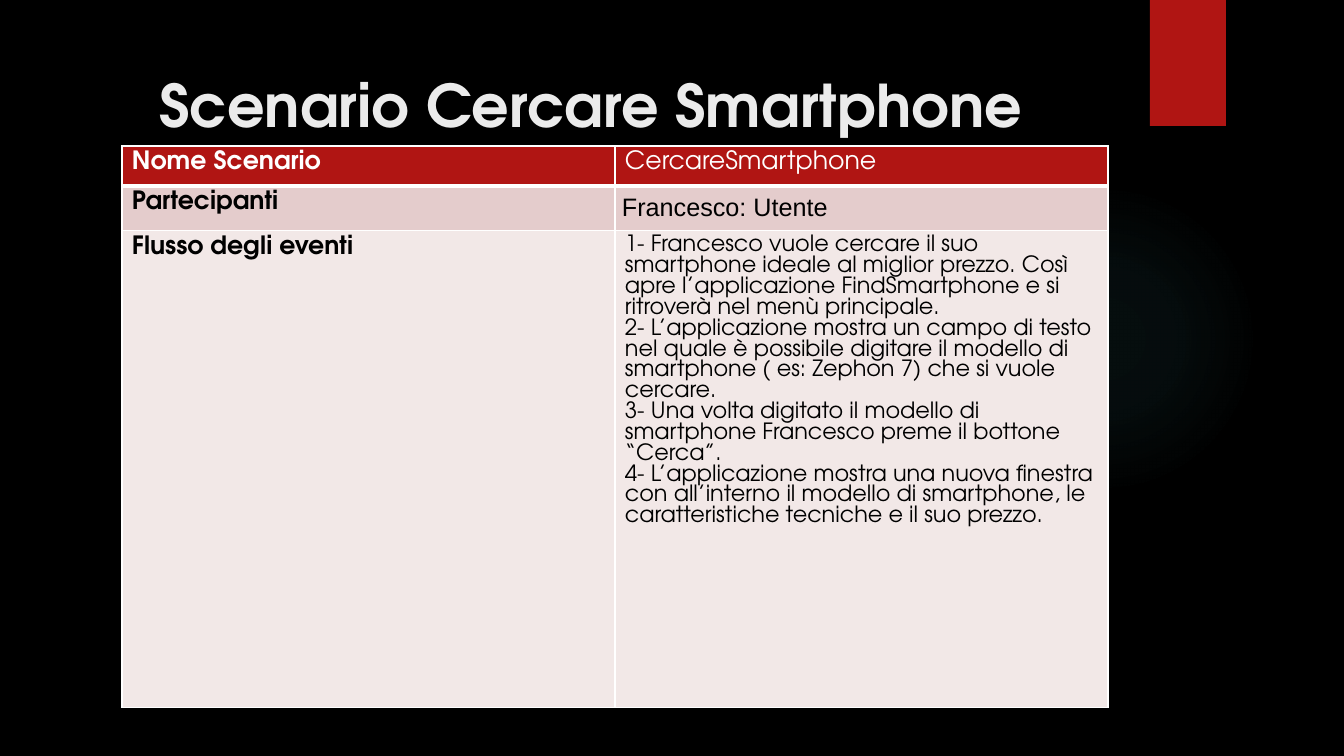
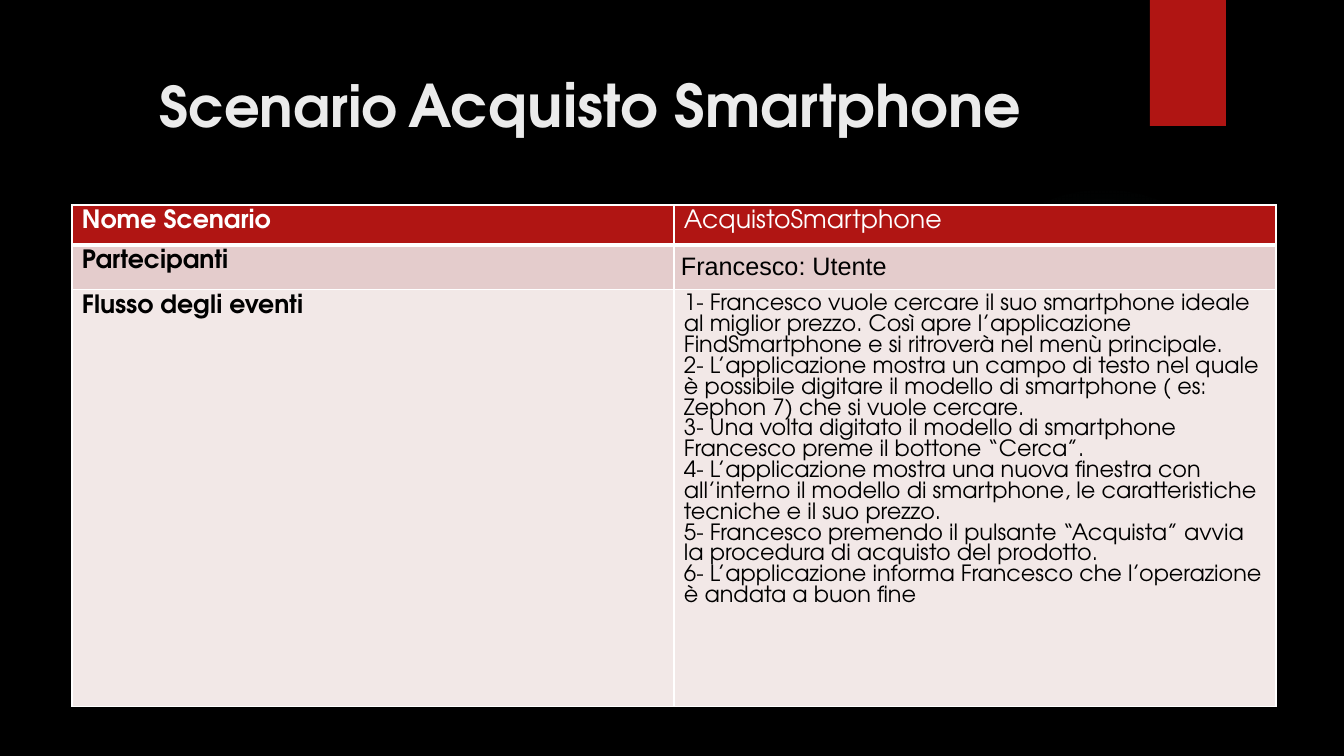
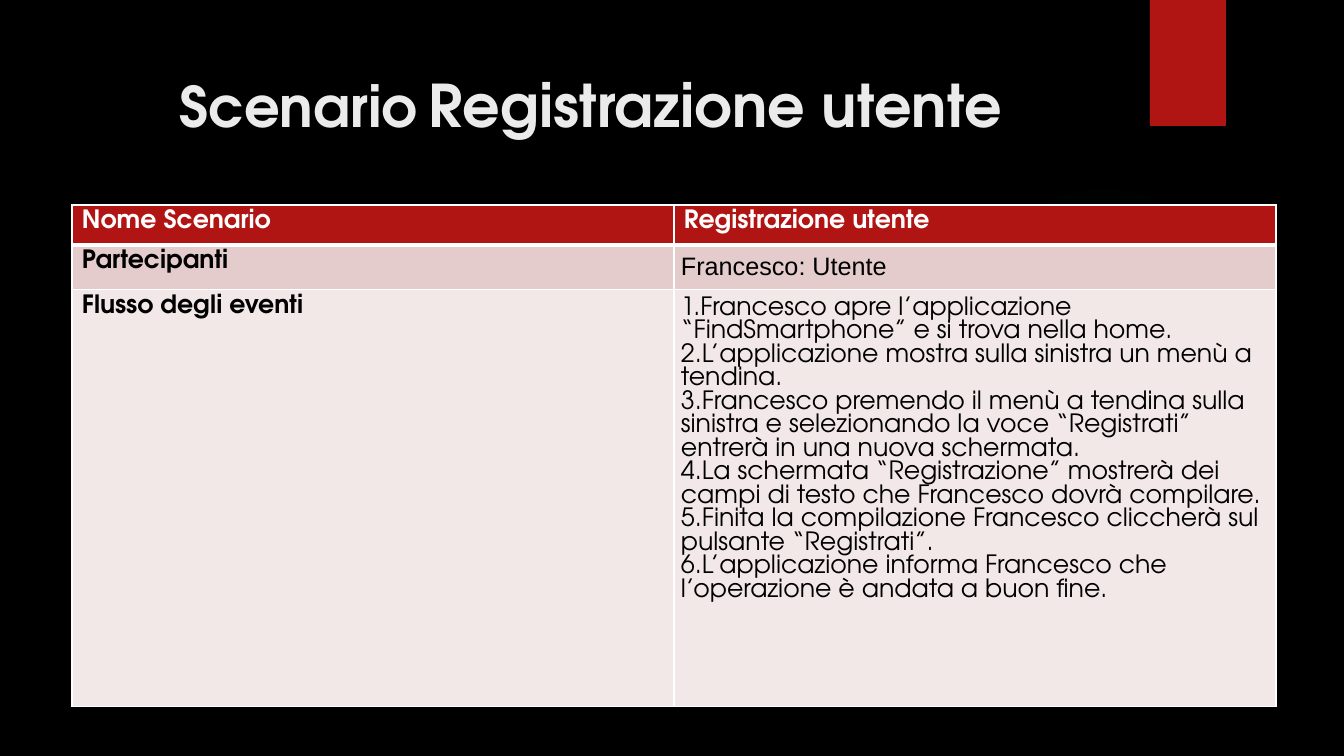
from dataclasses import dataclass

from pptx import Presentation
from pptx.dml.color import RGBColor
from pptx.enum.shapes import MSO_SHAPE
from pptx.enum.text import PP_ALIGN
from pptx.oxml import parse_xml
from pptx.oxml.ns import nsdecls
from pptx.util import Pt


@dataclass(frozen=True)
class Theme:
    backdrop: str = "000000"
    red: str = "B01513"
    glow: str = "50B9C1"
    title: str = "EBEBEB"
    white: str = "FFFFFF"
    black: str = "000000"
    band: str = "E4CCCC"
    pale: str = "F2E8E7"
    face: str = "TeX Gyre Adventor"
    plain_face: str = "Arial"
    title_size: int = 42
    title_small: int = 40
    title_gap: int = 28
    label_size: int = 18
    steps_size: int = 16


THEME = Theme()

# Content
SEARCH_STEPS = [
    "1- Francesco vuole cercare il suo smartphone ideale al miglior prezzo. Così apre "
    "l’applicazione FindSmartphone e si ritroverà nel menù principale.",
    "2- L’applicazione mostra un campo di testo nel quale è possibile digitare il modello "
    "di smartphone ( es: Zephon 7) che si vuole cercare.",
    "3- Una volta digitato il modello di smartphone Francesco preme il bottone “Cerca”.",
    "4- L’applicazione mostra una nuova finestra con all’interno il modello di smartphone, "
    "le caratteristiche tecniche e il suo prezzo.",
]
PURCHASE_STEPS = SEARCH_STEPS + [
    "5- Francesco premendo il pulsante “Acquista” avvia la procedura di acquisto del prodotto.",
    "6- L’applicazione informa Francesco che l’operazione è andata a buon fine",
]
SIGNUP_STEPS = [
    "Francesco apre l’applicazione “FindSmartphone” e si trova nella home.",
    "L’applicazione mostra sulla sinistra un menù a tendina.",
    "Francesco premendo il menù a tendina sulla sinistra e selezionando la voce "
    "“Registrati” entrerà in una nuova schermata.",
    "La schermata “Registrazione” mostrerà dei campi di testo che Francesco dovrà compilare.",
    "Finita la compilazione Francesco cliccherà sul pulsante “Registrati”.",
    "L’applicazione informa Francesco che l’operazione è andata a buon fine.",
]
LABELS = ["Nome Scenario", "Partecipanti", "Flusso degli eventi"]
PARTICIPANT = "Francesco: Utente"


def split_title(subject):
    return [("Scenario", THEME.title_small), (" ", THEME.title_gap),
            (subject, THEME.title_size)]


# Table grids in px: left, top, column width, row heights
NARROW = (122, 146, 493, (37, 43, 477))
WIDE = (72, 205, 602, (35, 43, 417))

SCENARIOS = [
    dict(title=[("Scenario Cercare Smartphone", THEME.title_size)], grid=NARROW,
         name="CercareSmartphone", steps=SEARCH_STEPS),
    dict(title=split_title("Acquisto Smartphone"), grid=WIDE,
         name="AcquistoSmartphone", steps=PURCHASE_STEPS),
    dict(title=split_title("Registrazione utente"), grid=WIDE,
         name="Registrazione utente", steps=SIGNUP_STEPS,
         name_bold=True, numbered=True),
]


def px(length):
    return round(length * 914400 / 100.8)


def rgb(value):
    return RGBColor.from_string(value)


def write(frame, paragraphs, *, size=THEME.label_size, color=THEME.black, bold=False,
          face=THEME.face, align=PP_ALIGN.LEFT, numbered=False, inset=(10, 5)):
    """Each paragraph is a string or a list of (text, size) runs."""
    frame.word_wrap = True
    frame.margin_left = frame.margin_right = px(inset[0])
    frame.margin_top = frame.margin_bottom = px(inset[1])
    for index, content in enumerate(paragraphs):
        paragraph = frame.add_paragraph() if index else frame.paragraphs[0]
        paragraph.alignment = align
        if numbered:
            properties = paragraph._p.get_or_add_pPr()
            properties.set("marL", "0")
            properties.set("indent", "0")
            properties.append(parse_xml(
                f'<a:buAutoNum {nsdecls("a")} type="arabicPeriod"/>'))
        runs = [(content, size)] if isinstance(content, str) else content
        for text, run_size in runs:
            run = paragraph.add_run()
            run.text = text
            run.font.name = face
            run.font.size = Pt(run_size)
            run.font.bold = bold
            run.font.color.rgb = rgb(color)


def add_decor(slide):
    # Faint radial glow
    glow = slide.shapes.add_shape(MSO_SHAPE.OVAL, px(949), px(184), px(310), px(310))
    glow.shadow.inherit = False
    glow.line.fill.background()
    glow.fill.background()
    stops = "".join(
        f'<a:gs pos="{position}000"><a:srgbClr val="{THEME.glow}">'
        f'<a:alpha val="{alpha}000"/></a:srgbClr></a:gs>'
        for position, alpha in ((0, 7), (36, 6), (69, 0)))
    properties = glow._element.spPr
    empty_fill = properties.find("{http://schemas.openxmlformats.org/drawingml/2006/main}noFill")
    properties.replace(empty_fill, parse_xml(
        f'<a:gradFill {nsdecls("a")}><a:gsLst>{stops}</a:gsLst><a:path path="circle">'
        '<a:fillToRect l="50000" t="50000" r="50000" b="50000"/></a:path></a:gradFill>'))
    # Red ribbon
    ribbon = slide.shapes.add_shape(MSO_SHAPE.RECTANGLE, px(1150), 0, px(76), px(126))
    ribbon.shadow.inherit = False
    ribbon.line.fill.background()
    ribbon.fill.solid()
    ribbon.fill.fore_color.rgb = rgb(THEME.red)


def add_title(slide, runs):
    heading = slide.shapes.add_textbox(px(72), px(50), px(1037), px(154))
    write(heading.text_frame, [runs], color=THEME.title, bold=True,
          align=PP_ALIGN.CENTER, inset=(10, 19))


def style_cell(cell, fill, top, bottom):
    properties = cell._tc.get_or_add_tcPr()
    for side, width in (("L", 1), ("R", 1), ("T", top), ("B", bottom)):
        properties.append(parse_xml(
            f'<a:ln{side} {nsdecls("a")} w="{Pt(width)}"><a:solidFill>'
            f'<a:srgbClr val="{THEME.white}"/></a:solidFill></a:ln{side}>'))
    cell.fill.solid()
    cell.fill.fore_color.rgb = rgb(fill)


def add_scenario_table(slide, grid, name, steps, name_bold=False, numbered=False):
    left, top, column_width, heights = grid
    table = slide.shapes.add_table(3, 2, px(left), px(top), px(2 * column_width),
                                   px(sum(heights))).table
    table.horz_banding = False
    for column in table.columns:
        column.width = px(column_width)

    # Fill, text colour, top and bottom border of each row
    row_styles = [(THEME.red, THEME.white, 1, 3), (THEME.band, THEME.black, 3, 1),
                  (THEME.pale, THEME.black, 1, 1)]
    steps_format = (dict(numbered=True, inset=(7, 7)) if numbered
                    else dict(size=THEME.steps_size))
    details = [([name], dict(bold=name_bold)),
               ([PARTICIPANT], dict(face=THEME.plain_face, inset=(7, 7))),
               (steps, steps_format)]
    for row, (label, detail, style) in enumerate(zip(LABELS, details, row_styles)):
        fill, color, border_top, border_bottom = style
        table.rows[row].height = px(heights[row])
        for column, (text, options) in enumerate([([label], dict(bold=True)), detail]):
            cell = table.cell(row, column)
            style_cell(cell, fill, border_top, border_bottom)
            write(cell.text_frame, text, color=color, **options)
            # Cell insets live on the cell itself
            side, edge = options.get("inset", (10, 5))
            cell.margin_left = cell.margin_right = px(side)
            cell.margin_top = cell.margin_bottom = px(edge)
            body = cell.text_frame._txBody.bodyPr
            body.attrib.clear()


def main():
    deck = Presentation()
    deck.slide_width, deck.slide_height = px(1344), px(756)
    backdrop = deck.slide_master.background.fill
    backdrop.solid()
    backdrop.fore_color.rgb = rgb(THEME.backdrop)
    for scenario in SCENARIOS:
        slide = deck.slides.add_slide(deck.slide_layouts[6])
        add_decor(slide)
        add_title(slide, scenario["title"])
        add_scenario_table(slide, **{key: value for key, value in scenario.items()
                                     if key != "title"})
    deck.save("out.pptx")


if __name__ == "__main__":
    main()
